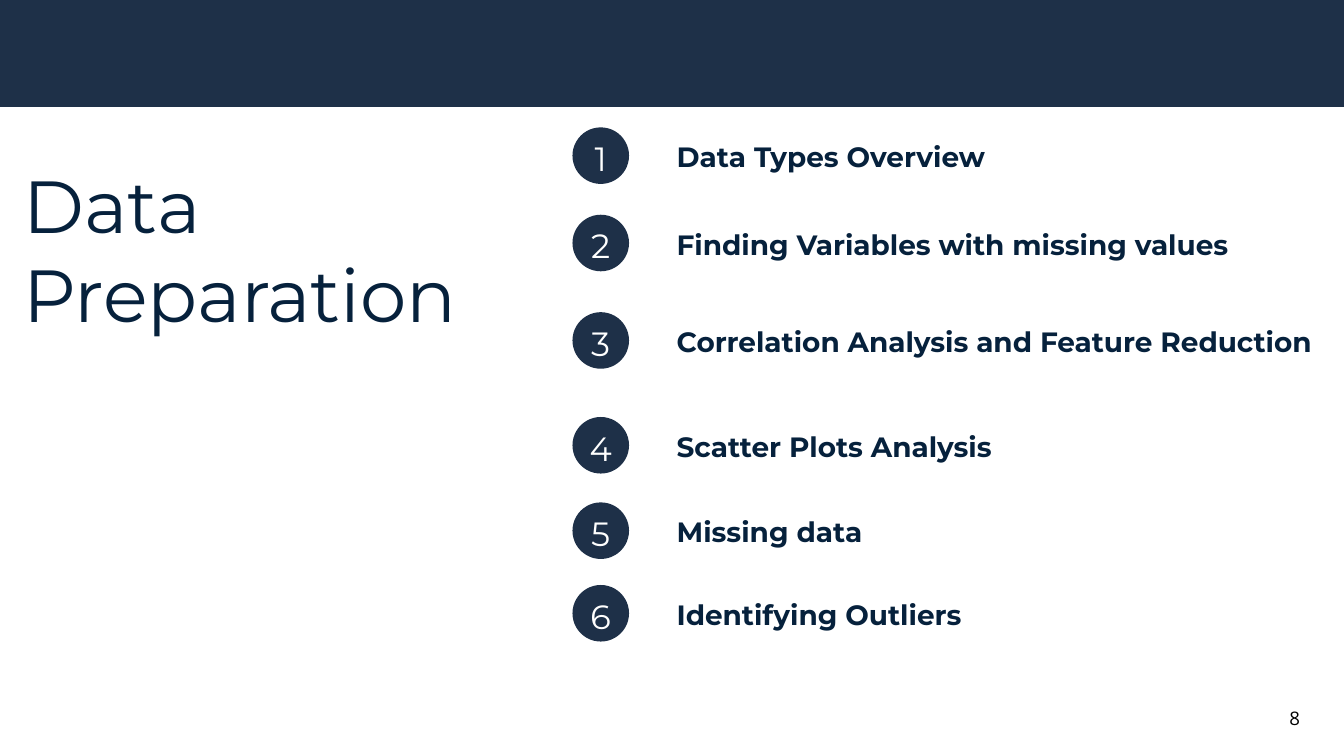
import pptx
import pptx.dml.color
import pptx.enum.shapes
import pptx.enum.text
import pptx.util

Pt = pptx.util.Pt
ALIGN = pptx.enum.text.PP_ALIGN
SHAPES = pptx.enum.shapes.MSO_SHAPE

NAVY = "1E3048"
INK = "06213C"
WHITE = "FFFFFF"
BLACK = "000000"

TOPICS = [
    ("Data Types Overview", 126),
    ("Finding Variables with missing values", 219.6),
    ("Correlation Analysis and Feature Reduction", 324),
    ("Scatter Plots Analysis", 436.3),
    ("Missing data", 527.8),
    ("Identifying Outliers", 616.3),
]


def color(hex_value):
    """Turn a hex string into a colour."""
    return pptx.dml.color.RGBColor.from_string(hex_value)


def add_filled(slide, preset, left, top, width, height, fill):
    """Add a flat preset shape without outline."""
    shape = slide.shapes.add_shape(preset, Pt(left), Pt(top), Pt(width), Pt(height))
    shape.shadow.inherit = False
    shape.fill.solid()
    shape.fill.fore_color.rgb = color(fill)
    shape.line.fill.background()


def add_text(slide, box, text, size, leading, ink, bold=False,
             align=ALIGN.LEFT, font="Montserrat", wrap=True):
    """Add one paragraph of text in a box without margins."""
    frame = slide.shapes.add_textbox(*(Pt(length) for length in box)).text_frame
    frame.margin_left = frame.margin_top = frame.margin_right = frame.margin_bottom = 0
    frame.word_wrap = wrap
    paragraph = frame.paragraphs[0]
    paragraph.alignment = align
    paragraph.line_spacing = Pt(leading)
    run = paragraph.add_run()
    run.text = text
    run.font.name = font
    run.font.size = Pt(size)
    run.font.bold = bold
    run.font.color.rgb = color(ink)


def add_topic(slide, left, top, width, number, topic):
    """Add a numbered badge with its topic to the right."""
    add_text(slide, (left + 111.6, top, width - 111.6, 53.3), topic, 29.9, 59.8, INK, bold=True)
    add_filled(slide, SHAPES.OVAL, left, top + 10.5, 60.6, 60.6, NAVY)
    add_text(slide, (left + 8.6, top + 8.6, 43.2, 53.3), str(number), 36, 56.5, WHITE,
             align=ALIGN.CENTER)


def add_agenda(slide, left, width):
    """Add all topics in one column."""
    for number, (topic, top) in enumerate(TOPICS, start=1):
        add_topic(slide, left, top, width, number, topic)


def add_heading(slide, left, top, width, height):
    """Add the slide title."""
    add_text(slide, (left, top, width, height), "Data Preparation", 79, 94.8, INK)


def add_page_number(slide, left, top, width, height):
    """Add the page number."""
    add_text(slide, (left, top, width, height), "8", 20, 28, BLACK,
             align=ALIGN.CENTER, font="Open Sans", wrap=False)


def main():
    """Build and save the slide."""
    deck = pptx.Presentation()
    deck.slide_width, deck.slide_height = Pt(1440), Pt(810)
    slide = deck.slides.add_slide(deck.slide_layouts[6])
    add_filled(slide, SHAPES.RECTANGLE, 0, 0, 1440, 114.5, NAVY)
    add_agenda(slide, 613.4, 802)
    add_heading(slide, 25.2, 171.4, 476, 188.6)
    add_page_number(slide, 1381, 753.1, 12.2, 15.8)
    deck.save("out.pptx")


if __name__ == "__main__":
    main()
